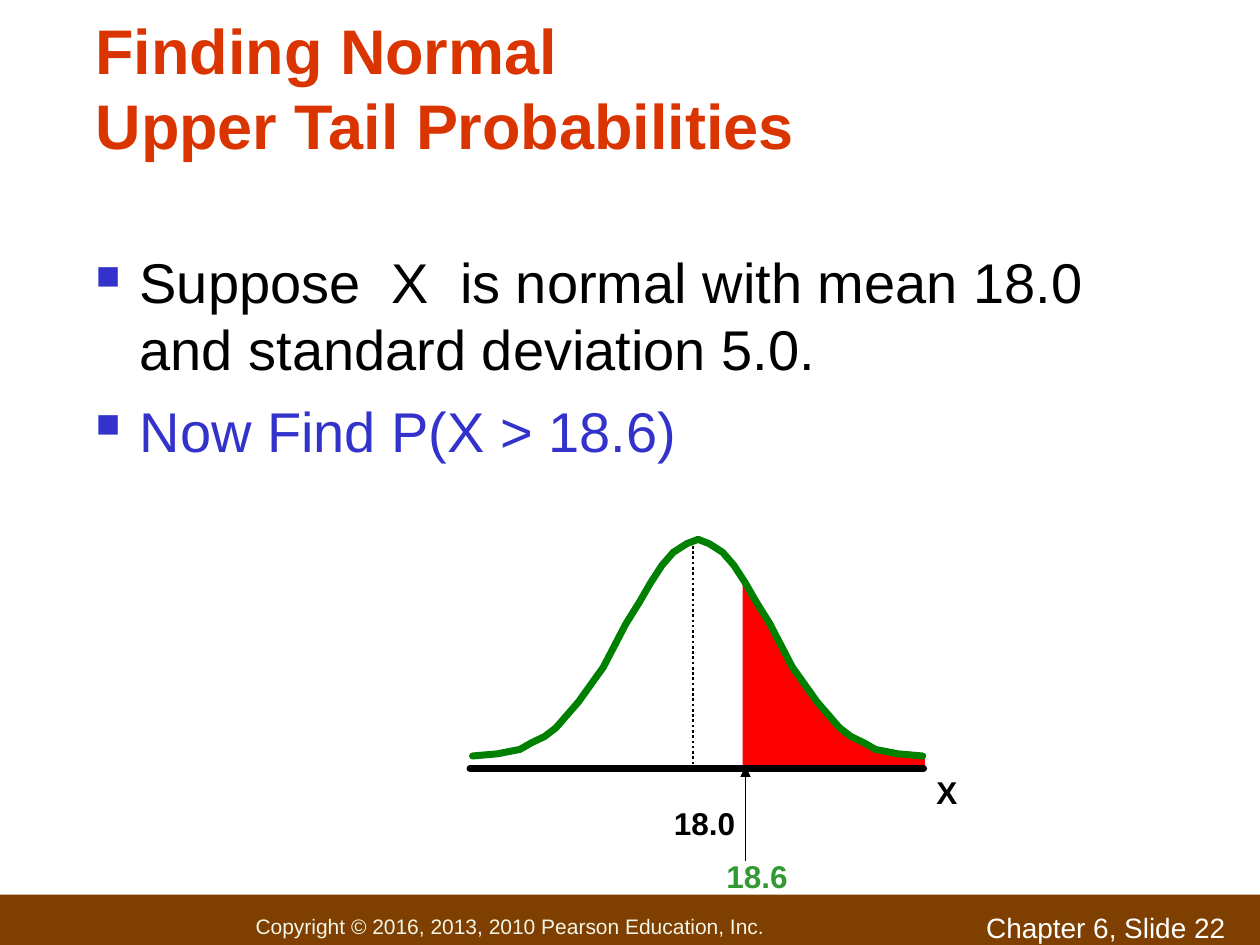
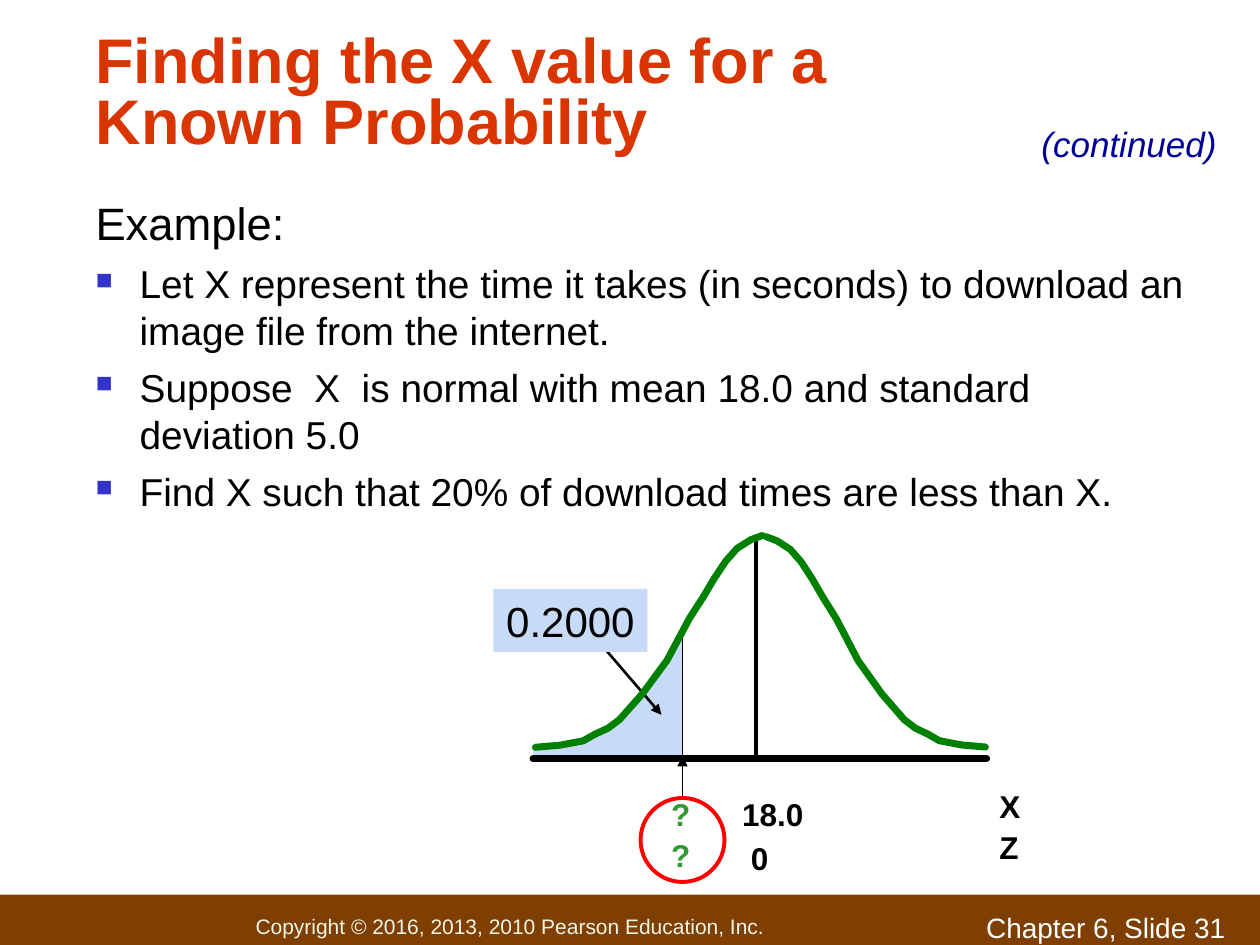
from dataclasses import dataclass

from lxml.etree import SubElement
from pptx import Presentation
from pptx.dml.color import RGBColor
from pptx.enum.dml import MSO_LINE
from pptx.enum.shapes import MSO_CONNECTOR, MSO_SHAPE
from pptx.enum.text import MSO_ANCHOR, MSO_AUTO_SIZE, PP_ALIGN
from pptx.oxml.ns import qn
from pptx.util import Pt


@dataclass(frozen=True)
class Theme:
    font: str = "Arial"
    title: str = "DA3400"
    black: str = "000000"
    white: str = "FFFFFF"
    blue: str = "3333CC"
    navy: str = "000099"
    band: str = "7E3F00"
    cream: str = "F3F5E7"
    green: str = "339933"
    curve: str = "008000"
    red: str = "FF0000"
    pale: str = "C7DAF7"
    title_size: float = 36
    footer_size: float = 12
    number_size: float = 16
    label_size: float = 18
    note_size: float = 20
    value_size: float = 24


theme = Theme()


def write_text(shape, text, size=theme.label_size, color=theme.black, bold=False,
               italic=False, wrap=True, anchor=MSO_ANCHOR.TOP, align=PP_ALIGN.LEFT,
               insets=(7.2, 3.6), space=0, spacing=None, indent=0, bullet=False,
               append=False):
    frame = shape.text_frame
    frame.auto_size = MSO_AUTO_SIZE.NONE
    frame.word_wrap = wrap
    frame.vertical_anchor = anchor
    frame.margin_left = frame.margin_right = Pt(insets[0])
    frame.margin_top = frame.margin_bottom = Pt(insets[1])
    paragraph = frame.add_paragraph() if append else frame.paragraphs[0]
    paragraph.text = text
    paragraph.alignment = align
    paragraph.space_before = Pt(space)
    if spacing:
        paragraph.line_spacing = spacing
    properties = paragraph._p.get_or_add_pPr()
    if indent:
        properties.set("marL", str(Pt(indent)))
        properties.set("indent", str(-Pt(indent)))
    if bullet:
        bullet_color = SubElement(properties, qn("a:buClr"))
        SubElement(bullet_color, qn("a:srgbClr"), val=theme.blue)
        SubElement(properties, qn("a:buSzPct"), val="60000")
        SubElement(properties, qn("a:buChar"), char="■")
    for run in paragraph.runs:
        font = run.font
        font.name, font.size, font.bold, font.italic = theme.font, Pt(size), bold, italic
        font.color.rgb = RGBColor.from_string(color)


def draw_outline(slide, points, fill=None, line=None, width=1):
    builder = slide.shapes.build_freeform(*(Pt(value) for value in points[0]))
    builder.add_line_segments([(Pt(x), Pt(y)) for x, y in points[1:]], close=bool(fill))
    shape = builder.convert_to_shape()
    shape.shadow.inherit = False
    if fill:
        shape.fill.solid()
        shape.fill.fore_color.rgb = RGBColor.from_string(fill)
    else:
        shape.fill.background()
    if line:
        shape.line.color.rgb = RGBColor.from_string(line)
        shape.line.width = Pt(width)
        stroke = shape.line._get_or_add_ln()
        stroke.set("cap", "rnd")
        SubElement(stroke, qn("a:round"))
    else:
        shape.line.fill.background()


bell_half = [(0, 0), (0.05, 0.02), (0.11, 0.06), (0.16, 0.12), (0.21, 0.2), (0.26, 0.29),
             (0.32, 0.39), (0.42, 0.59), (0.53, 0.75), (0.63, 0.87), (0.68, 0.91),
             (0.74, 0.94), (0.79, 0.97), (0.84, 0.98), (0.89, 0.99), (1, 1)]

slide_contents = [
    dict(
        number=22,
        title="Finding Normal\vUpper Tail Probabilities",
        title_box=(48, 30, 613.5, 66.5),
        title_spacing=None,
        body_box=(48, 138, 636, 357),
        body=[
            ("Suppose  X  is normal with mean 18.0 and standard deviation 5.0.",
             dict(size=32, bullet=True)),
            ("Now Find P(X > 18.6)", dict(size=32, bullet=True, space=8, color=theme.blue)),
        ],
        halves=[(398.9, 308.2, 128.4, 123.8), (398.9, 308.2, -128.9, 123.8)],
        region=dict(half=0, cut=(424.8, 331), edge=528, fill=theme.red, line=theme.red),
        axis=(268.6, 527.8, 439.2),
        lines=[
            (426, 492, 426, 438, 1, True, False),
            (396, 312, 396, 438, 1.5, False, True),
        ],
        labels=[
            ("X", 528, 438, 30, theme.black),
            ("18.6", 408, 486, 49.7, theme.green),
            ("18.0", 378, 456, 49.7, theme.black),
        ],
    ),
    dict(
        number=31,
        title="Finding the X value for a Known Probability",
        title_box=(48, 25, 559.5, 68),
        title_spacing=0.8,
        body_box=(48, 108, 636, 228),
        body=[
            ("Example:", dict(size=25.9)),
            ("Let X represent the time it takes (in seconds) to download an image file "
             "from the internet.", dict(size=22.2, bullet=True, space=6)),
            ("Suppose  X  is normal with mean 18.0 and standard deviation 5.0",
             dict(size=22.2, bullet=True, space=6)),
            ("Find X such that 20% of download times are less than X.",
             dict(size=22.2, bullet=True, space=6)),
        ],
        halves=[(437.8, 306.7, 125.3, 120.2), (435.6, 306, -129.6, 121)],
        region=dict(half=1, cut=(390, 358), edge=304.6, fill=theme.pale, line=None),
        axis=(304.6, 563.8, 433.5),
        lines=[
            (390, 361, 390, 433, 1, False, False),
            (342, 366.5, 378, 408.5, 1.5, True, False),
            (432, 307, 432, 433, 2.5, False, False),
            (390, 456, 390, 432, 1, True, False),
        ],
        labels=[
            ("X", 564, 446, 30, theme.black),
            ("Z", 564, 469.5, 30, theme.black),
            ("?", 376.5, 451, 25.4, theme.green),
            ("?", 376.5, 474, 25.4, theme.green),
            ("18.0", 417, 451, 49.7, theme.black),
            ("0", 422, 476, 24.4, theme.black),
        ],
    ),
]

presentation = Presentation()
presentation.slide_width, presentation.slide_height = Pt(720), Pt(540)

for content in slide_contents:
    slide = presentation.slides.add_slide(presentation.slide_layouts[5])
    shapes = slide.shapes

    band = shapes.add_shape(MSO_SHAPE.RECTANGLE, Pt(0), Pt(511.2), Pt(720), Pt(28.8))
    band.shadow.inherit = False
    band.fill.solid()
    band.fill.fore_color.rgb = RGBColor.from_string(theme.band)
    band.line.fill.background()
    copyright_box = shapes.add_textbox(Pt(146), Pt(519), Pt(300), Pt(20))
    write_text(copyright_box, "Copyright © 2016, 2013, 2010 Pearson Education, Inc.",
               size=theme.footer_size, color=theme.cream, anchor=MSO_ANCHOR.MIDDLE,
               insets=(0, 0))
    number_box = shapes.add_textbox(Pt(556.5), Pt(517), Pt(163.5), Pt(19))
    write_text(number_box, f"Chapter 6, Slide {content['number']}",
               size=theme.number_size, color=theme.white)

    title = shapes.title
    title.left, title.top, title.width, title.height = map(Pt, content["title_box"])
    write_text(title, content["title"], size=theme.title_size, color=theme.title, bold=True,
               anchor=MSO_ANCHOR.BOTTOM, insets=(6.6, 3.6),
               spacing=content["title_spacing"])

    body = shapes.add_textbox(*map(Pt, content["body_box"]))
    for index, (text, text_format) in enumerate(content["body"]):
        write_text(body, text, append=index > 0, indent=25.2, insets=(6.6, 3.6),
                   **text_format)

    halves = [[(peak_x + width * x, peak_y + height * y) for x, y in bell_half]
              for peak_x, peak_y, width, height in content["halves"]]
    axis_left, axis_right, baseline = content["axis"]

    region = content["region"]
    cut, edge = region["cut"], region["edge"]
    tail = [(x, y) for x, y in halves[region["half"]] if (x - cut[0]) * (edge - cut[0]) > 0]
    draw_outline(slide, [(cut[0], baseline), cut, *tail, (edge, tail[-1][1]),
                         (edge, baseline)], fill=region["fill"], line=region["line"])

    for start_x, start_y, end_x, end_y, width, arrow, dotted in content["lines"]:
        connector = shapes.add_connector(MSO_CONNECTOR.STRAIGHT, Pt(start_x), Pt(start_y),
                                         Pt(end_x), Pt(end_y))
        connector.line.color.rgb = RGBColor.from_string(theme.black)
        connector.line.width = Pt(width)
        if dotted:
            connector.line.dash_style = MSO_LINE.ROUND_DOT
        if arrow:
            SubElement(connector.line._get_or_add_ln(), qn("a:tailEnd"), type="triangle")
        SubElement(connector._element.spPr, qn("a:effectLst"))

    for half in halves:
        draw_outline(slide, half, line=theme.curve, width=4)
    draw_outline(slide, [(axis_left, baseline), (axis_right, baseline)],
                 line=theme.black, width=4)

    for text, left, top, width, color in content["labels"]:
        label = shapes.add_textbox(Pt(left), Pt(top), Pt(width), Pt(28.8))
        write_text(label, text, color=color, bold=True, wrap=False)

value_box = shapes.add_shape(MSO_SHAPE.RECTANGLE, Pt(282), Pt(336.5), Pt(88), Pt(36))
value_box.shadow.inherit = False
value_box.fill.solid()
value_box.fill.fore_color.rgb = RGBColor.from_string(theme.pale)
value_box.line.fill.background()
write_text(value_box, "0.2000", size=theme.value_size, wrap=False, align=PP_ALIGN.CENTER)

unknown_ring = shapes.add_shape(MSO_SHAPE.OVAL, Pt(366), Pt(456), Pt(48), Pt(48))
unknown_ring.shadow.inherit = False
unknown_ring.fill.background()
unknown_ring.line.color.rgb = RGBColor.from_string(theme.red)
unknown_ring.line.width = Pt(2.25)

continued = shapes.add_textbox(Pt(588), Pt(66.5), Pt(120), Pt(31.5))
write_text(continued, "(continued)", size=theme.note_size, color=theme.navy, italic=True)

presentation.save("out.pptx")
